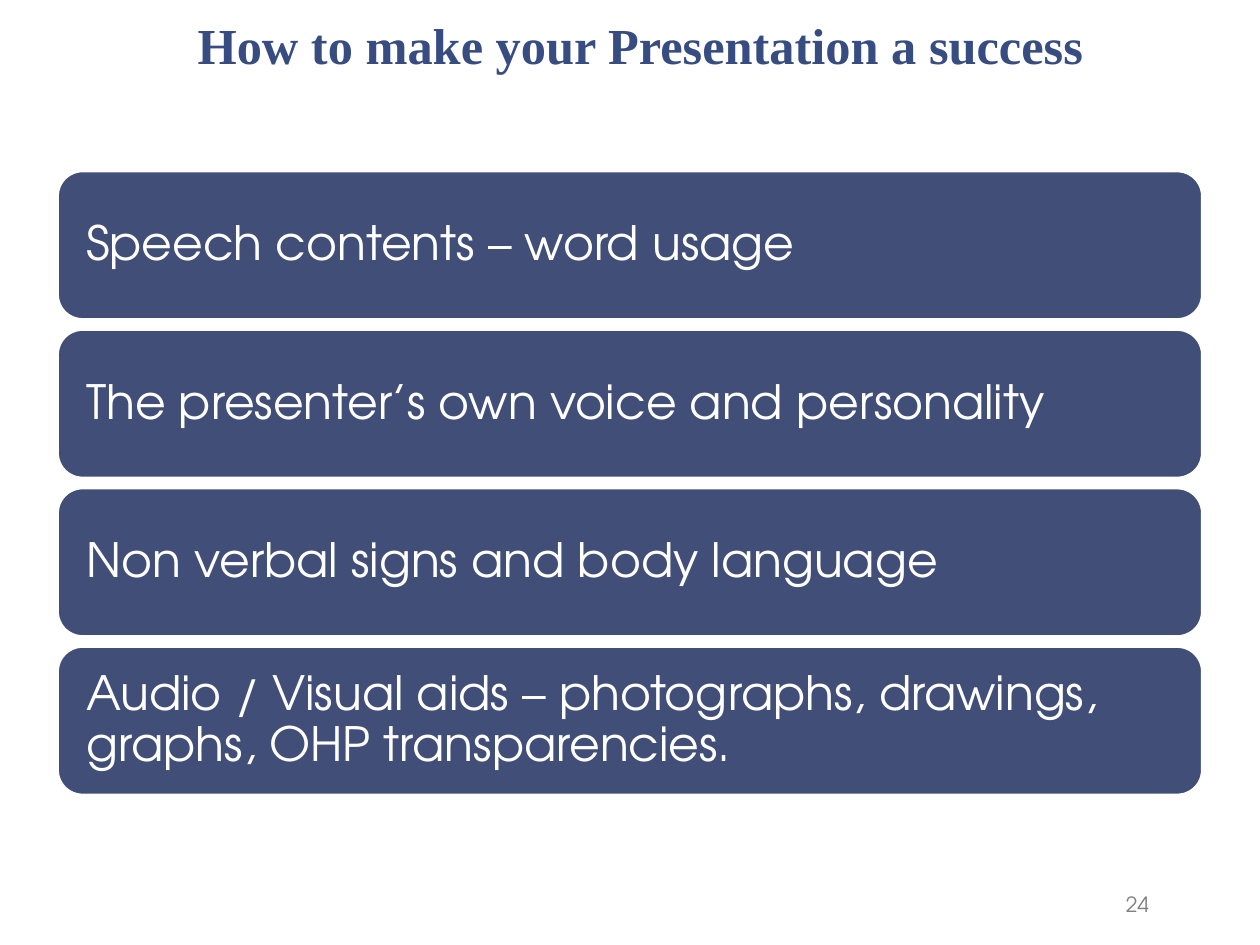
from pptx import Presentation
from pptx.dml.color import RGBColor
from pptx.enum.shapes import MSO_SHAPE as Shape
from pptx.enum.text import MSO_ANCHOR as Anchor, PP_ALIGN as Align
from pptx.util import Pt

NAVY = RGBColor(0x41, 0x4E, 0x77)
BLUE = RGBColor(0x37, 0x4C, 0x81)
GRAY = RGBColor(0x80, 0x80, 0x80)
WHITE = RGBColor(0xFF, 0xFF, 0xFF)
SANS = "TeX Gyre Adventor"
SERIF = "Times New Roman"

POINTS = [
    "Speech contents – word usage",
    "The presenter’s own voice and personality",
    "Non verbal signs and body language",
    "Audio / Visual aids – photographs, drawings, graphs, OHP transparencies.",
]


def write(shape, text, face, size, color, align, anchor, pad, bold=False):
    """Put one formatted paragraph in a shape and return it."""
    frame = shape.text_frame
    frame.text = text
    frame.word_wrap = True
    frame.vertical_anchor = anchor
    frame.margin_left = frame.margin_right = Pt(pad[0])
    frame.margin_top = frame.margin_bottom = Pt(pad[1])
    para = frame.paragraphs[0]
    para.alignment = align
    para.space_before = Pt(0)
    font = para.runs[0].font
    font.name, font.size, font.bold = face, Pt(size), bold
    font.color.rgb = color
    return para


def add_title(slide, text, left, top, width, height):
    """Place the slide title in the given box."""
    title = slide.shapes.title
    title.left, title.top = Pt(left), Pt(top)
    title.width, title.height = Pt(width), Pt(height)
    para = write(title, text, SERIF, 28.8, BLUE, Align.CENTER,
                 Anchor.BOTTOM, (9.4, 5), bold=True)
    para.line_spacing = 0.85


def add_bars(slide, texts, left, top, width, height, gap):
    """Stack one rounded bar per text, evenly spaced in the given box."""
    tall = (height - gap * (len(texts) - 1)) / len(texts)
    for row, text in enumerate(texts):
        bar = slide.shapes.add_shape(
            Shape.ROUNDED_RECTANGLE, Pt(left), Pt(top + row * (tall + gap)),
            Pt(width), Pt(tall))
        bar.shadow.inherit = False
        bar.fill.solid()
        bar.fill.fore_color.rgb = NAVY
        bar.line.color.rgb = WHITE
        bar.line.width = Pt(1)
        para = write(bar, text, SANS, 27, WHITE, Align.LEFT,
                     Anchor.MIDDLE, (12, 8))
        para.line_spacing = 0.9


def add_number(slide, text, left, top, width, height):
    """Place the page number in the given box."""
    box = slide.shapes.add_textbox(Pt(left), Pt(top), Pt(width), Pt(height))
    write(box, text, SANS, 12, GRAY, Align.RIGHT, Anchor.BOTTOM, (9.4, 5))


def main():
    """Build and save the slide."""
    deck = Presentation()
    deck.slide_width, deck.slide_height = Pt(720), Pt(540)
    slide = deck.slides.add_slide(deck.slide_layouts[5])
    add_title(slide, "How to make your Presentation a success", 66, 6, 600, 42)
    add_bars(slide, POINTS, 33.2, 98, 653.6, 356, 6.3)
    add_number(slide, "24", 600.5, 504, 65.5, 25)
    deck.save("out.pptx")


if __name__ == "__main__":
    main()
